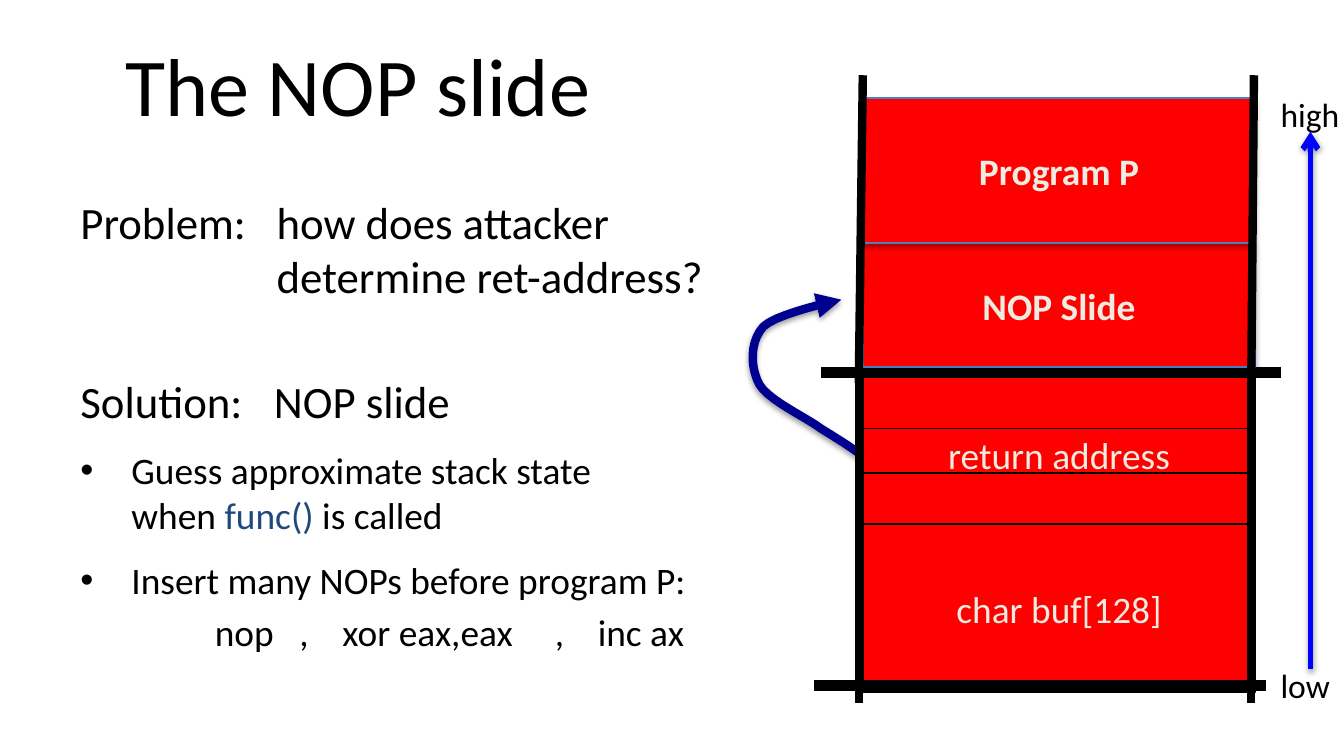
import dataclasses

import pptx
import pptx.dml.color
import pptx.enum.shapes
import pptx.enum.text
import pptx.oxml.ns
import pptx.util
from lxml import etree

ANCHOR = pptx.enum.text.MSO_ANCHOR
ALIGN = pptx.enum.text.PP_ALIGN


@dataclasses.dataclass(frozen=True)
class Theme:
    """Colours, font and type sizes of the slide."""
    font: str = "Calibri"
    ink: str = "000000"
    code: str = "1F497D"
    memory: str = "FF0000"
    label: str = "EEECE1"
    edge: str = "4B7EBC"
    jump: str = "000090"
    axis: str = "0000FF"
    title: int = 44
    lead: int = 24
    body: int = 20
    note: int = 18


class StackSlide:
    """Draws on one page over a grid of 100 columns, with rows as tall as columns are wide."""

    def __init__(self, deck, theme):
        self.theme = theme
        self.cell = deck.slide_width / 100
        self.page = deck.slides.add_slide(deck.slide_layouts[6])
        self.shapes = self.page.shapes

    def grid(self, *cells):
        return [round(cell * self.cell) for cell in cells]

    def color(self, value):
        return pptx.dml.color.RGBColor.from_string(value)

    def add_xml(self, parent, tag, **attributes):
        return etree.SubElement(parent, pptx.oxml.ns.qn(tag), attributes)

    def stroke(self, shape, color, width, head=None):
        shape.line.color.rgb = self.color(color)
        shape.line.width = pptx.util.Pt(width)
        if head:
            self.add_xml(shape.line._ln, "a:tailEnd", type=head)

    def shade(self, shape, opacity=0, distance=1.6):
        effects = self.add_xml(shape.element.spPr, "a:effectLst")
        if opacity:
            shadow = self.add_xml(
                effects, "a:outerShdw", blurRad=str(pptx.util.Pt(3.1)),
                dist=str(pptx.util.Pt(distance)), dir="5400000", rotWithShape="0")
            black = self.add_xml(shadow, "a:srgbClr", val=self.theme.ink)
            self.add_xml(black, "a:alpha", val=str(opacity * 1000))

    def style(self, para, size, color, bold=False):
        para.font.name = self.theme.font
        para.font.size = pptx.util.Pt(size)
        para.font.bold = bold
        if color:
            para.font.color.rgb = self.color(color)

    def text(self, area, words="", size=18, wrap=False, anchor=ANCHOR.TOP, align=ALIGN.LEFT):
        frame = self.shapes.add_textbox(*self.grid(*area)).text_frame
        frame.word_wrap = wrap
        frame.vertical_anchor = anchor
        para = frame.paragraphs[0]
        if words:
            para.text = words
            para.alignment = align
            self.style(para, size, self.theme.ink)
        return frame

    def paragraph(self, para, spans, size, before=0, tabs=(), bullet=False):
        para.space_before = pptx.util.Pt(before)
        properties = para._p.get_or_add_pPr()
        if bullet:
            indent = self.grid(3.8)[0]
            properties.set("marL", str(indent))
            properties.set("indent", str(-indent))
            self.add_xml(properties, "a:buFont", typeface="Arial")
            self.add_xml(properties, "a:buChar", char="•")
        if tabs:
            stops = self.add_xml(properties, "a:tabLst")
            for stop in self.grid(*tabs):
                self.add_xml(stops, "a:tab", pos=str(stop), algn="l")
        mixed = len({color for _, color in spans}) > 1
        self.style(para, size, None if mixed else spans[0][1])
        for words, color in spans:
            for number, line in enumerate(words.split("\n")):
                if number:
                    para.add_line_break()
                span = para.add_run()
                span.text = line
                if mixed:
                    span.font.color.rgb = self.color(color)

    def block(self, area, words="", bold=False, edge=None, width=0.75, filled=True, opacity=0):
        kind = pptx.enum.shapes.MSO_SHAPE.RECTANGLE
        box = self.shapes.add_shape(kind, *self.grid(*area))
        if filled:
            box.fill.solid()
            box.fill.fore_color.rgb = self.color(self.theme.memory)
        else:
            box.fill.background()
        self.stroke(box, edge or self.theme.ink, width)
        self.shade(box, opacity, 1.8)
        if words:
            frame = box.text_frame
            frame.word_wrap = bold
            frame.vertical_anchor = ANCHOR.MIDDLE
            para = frame.paragraphs[0]
            para.text = words
            para.alignment = ALIGN.CENTER
            self.style(para, self.theme.body, self.theme.label, bold)

    def line(self, ends, width, color=None, head=None, opacity=0):
        kind = pptx.enum.shapes.MSO_CONNECTOR.STRAIGHT
        line = self.shapes.add_connector(kind, *self.grid(*ends))
        self.stroke(line, color or self.theme.ink, width, head)
        self.shade(line, opacity)

    def curve(self, start, arcs, width, color, head, steps=10):
        points, origin = [], start
        for arc in arcs:
            corners = (origin, *arc)
            for step in range(1, steps + 1):
                t = step / steps
                weights = ((1 - t) ** 3, 3 * t * (1 - t) ** 2, 3 * t * t * (1 - t), t ** 3)
                points.append(self.grid(*(sum(w * c[axis] for w, c in zip(weights, corners))
                                          for axis in (0, 1))))
            origin = arc[-1]
        builder = self.shapes.build_freeform(*self.grid(*start))
        builder.add_line_segments(points, close=False)
        shape = builder.convert_to_shape()
        shape.fill.background()
        self.stroke(shape, color, width, head)
        self.shade(shape, 38)


def add_explanation(slide):
    """Write the title, the problem and the solution."""
    theme = slide.theme
    ink = theme.ink
    slide.text((5, 1.5, 43.3, 9.4), "The NOP slide", theme.title, True,
               ANCHOR.MIDDLE, ALIGN.CENTER)
    frame = slide.text((5, 14, 50, 40), wrap=True)
    guess = [("Guess approximate stack state\nwhen ", ink), ("func()", theme.code),
             (" is called", ink)]
    rows = [
        ([("Problem:\thow does attacker\n\tdetermine ret-address?", ink)],
         theme.lead, 0, (14.6,), False),
        ([("Solution:\tNOP slide", ink)], theme.lead, 38.5, (14.4,), False),
        (guess, theme.body, 10.4, (), True),
        ([("Insert many NOPs before program P:", ink)], theme.body, 10.8, (), True),
        ([("\tnop\t,\txor eax,eax\t,\tinc ax", ink)], theme.body, 4,
         (10, 16.3, 19.5, 35.3, 38.5), False),
    ]
    for number, row in enumerate(rows):
        para = frame.add_paragraph() if number else frame.paragraphs[0]
        slide.paragraph(para, *row)


def add_stack(slide):
    """Draw the memory stack, the jump and the address axis."""
    theme = slide.theme
    left, right, wide = 64.2, 93.1, 29.2
    rail = left - 0.3
    slide.block((left, 28.1, wide, 3.8))
    slide.block((rail, 39, wide, 12.5))
    slide.block((left, 39, wide, 12.5), "char buf[128]")
    slide.block((left, 31.9, wide, 3.8), "return address")
    slide.block((left, 35.2, wide, 3.8))
    slide.line((60.6, 51, 94.2, 51), 6)
    slide.line((61.1, 27.7, 95.3, 27.7), 6)
    for top, tall, words in ((18.1, 9.2, "NOP Slide"), (7.3, 10.8, "Program P")):
        slide.block((left, top, wide, tall), words, True, theme.edge, opacity=35)
    slide.curve((64, 33.8), [
        ((63.2, 33.2), (62.4, 32.7), (61.1, 31.9)),
        ((59.9, 31), (57.2, 29.8), (56.5, 28.6)),
        ((55.8, 27.3), (55.8, 25.4), (56.8, 24.3)),
        ((57.8, 23.3), (62.6, 22.3), (62.6, 22.3)),
    ], 4.5, theme.jump, "triangle")
    slide.block((rail, 27.7, wide, 23.3), width=4.5, filled=False)
    for foot, top in ((rail, left), (right, 93.3)):
        slide.line((foot, 46.4, foot, 52.3), 4.5)
        slide.line((top, 5.6, foot, 28.5), 4.5)
    slide.line((97.5, 49.8, 97.5, 9.8), 3, theme.axis, "arrow", 38)
    slide.text((94.3, 49, 5.7, 4), "low", theme.note)
    slide.text((94.3, 6.5, 6.5, 4), "high", theme.note)


def main():
    """Build and save the deck."""
    deck = pptx.Presentation()
    deck.slide_width = pptx.util.Inches(10)
    deck.slide_height = deck.slide_width * 9 // 16
    slide = StackSlide(deck, Theme())
    add_explanation(slide)
    add_stack(slide)
    deck.save("out.pptx")


if __name__ == "__main__":
    main()
